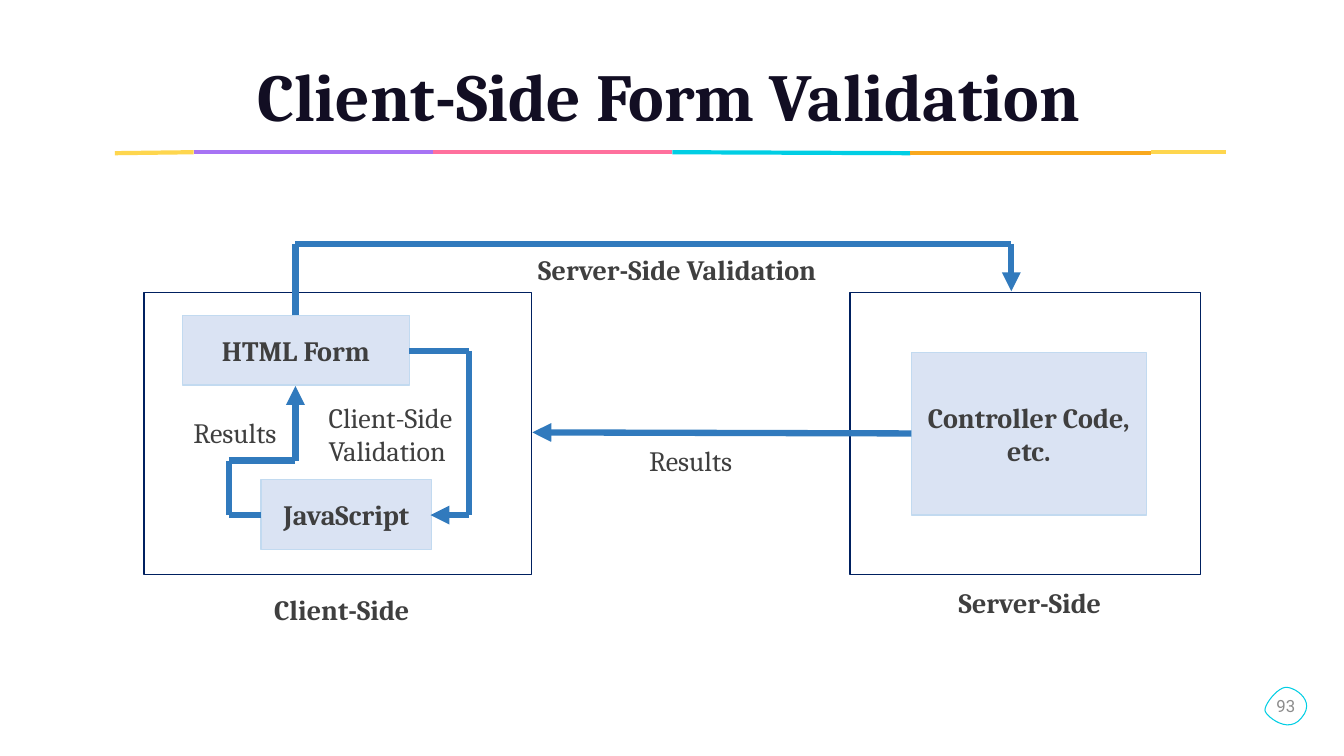
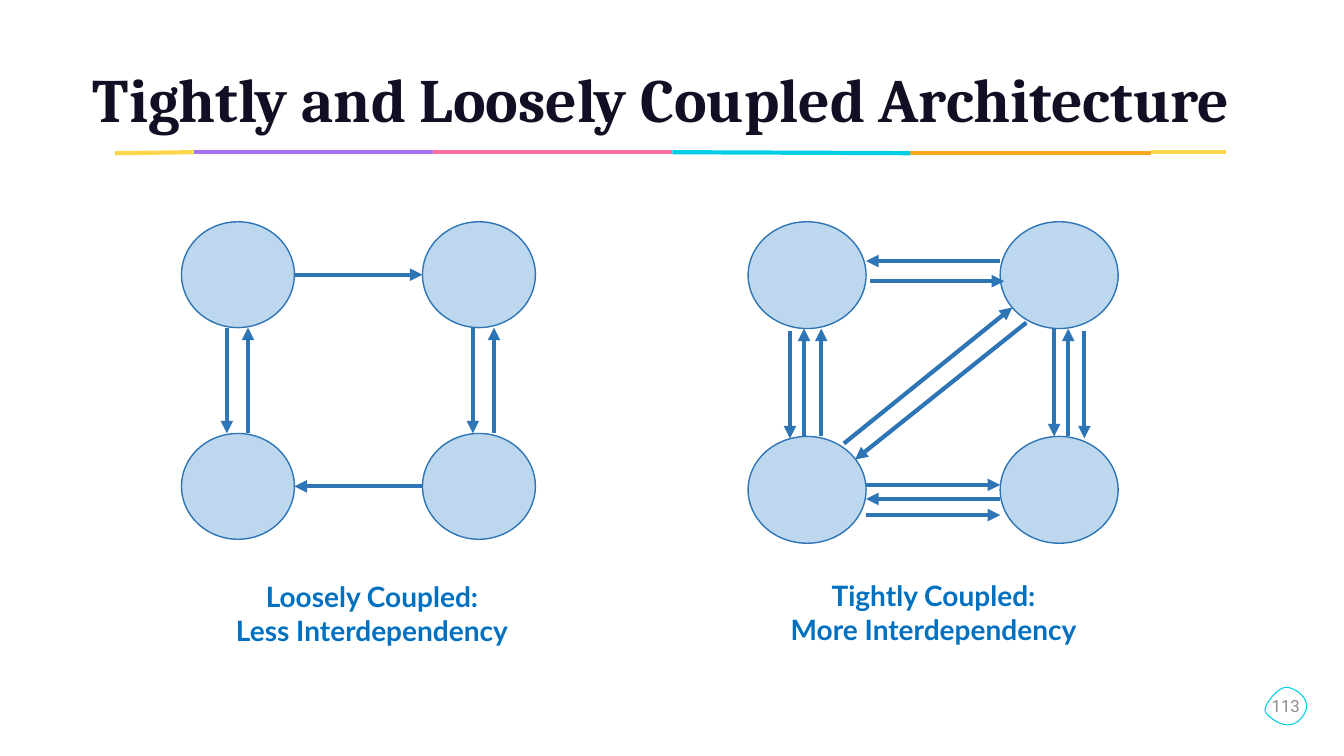
"""Build two slides on form validation and coupled architecture."""
from pptx import Presentation
from pptx.dml.color import RGBColor
from pptx.enum.shapes import MSO_CONNECTOR, MSO_SHAPE
from pptx.enum.text import MSO_ANCHOR, PP_ALIGN
from pptx.oxml.ns import qn
from pptx.util import Inches, Pt
from lxml import etree

LINE = MSO_CONNECTOR.STRAIGHT
RECT, OVAL = MSO_SHAPE.RECTANGLE, MSO_SHAPE.OVAL
LEFT, MID = PP_ALIGN.LEFT, PP_ALIGN.CENTER
TOP, CORE, BASE = MSO_ANCHOR.TOP, MSO_ANCHOR.MIDDLE, MSO_ANCHOR.BOTTOM

SERIF, SANS, PLAIN = "Cambria", "Lato", "Roboto"
INK, TEXT, GREY, AQUA = "120E23", "3F3F3F", "8C8C8C", "00CEE4"
NAVY, PALE, EDGE, FLOW = "002060", "DAE3F3", "C2DAF0", "317ABD"
SKY, BLUE, CAPTION = "BDD7EE", "2E75B6", "0070C0"

BAND = [
    ((1.14, 1.52), (1.92, 1.51), "FED64E"),
    ((1.92, 1.51), (4.29, 1.51), "A773F4"),
    ((4.29, 1.51), (6.67, 1.51), "FF709D"),
    ((6.67, 1.51), (9.03, 1.52), AQUA),
    ((9.03, 1.52), (11.42, 1.52), "F9A81D"),
    ((11.42, 1.51), (12.16, 1.51), "FED64E"),
]
BADGE = [
    ((12.77, 6.82), (12.86, 6.83), (13.05, 6.96), (12.91, 7.12)),
    ((12.91, 7.12), (12.78, 7.29), (12.57, 7.11), (12.55, 7.06)),
    ((12.55, 7.06), (12.52, 7.01), (12.68, 6.8), (12.77, 6.82)),
]

FRAMES = [(1.43, 2.9, 3.84, 2.8), (8.43, 2.9, 3.48, 2.8)]
BOXES = [
    ("HTML Form", (1.81, 3.13, 2.25, 0.69)),
    ("JavaScript", (2.59, 4.76, 1.69, 0.69)),
    ("Controller Code, etc.", (9.04, 3.5, 2.33, 1.61)),
]
ROUTES = [
    [(9.04, 4.3), (5.28, 4.29)],
    [(2.93, 3.13), (2.93, 2.42), (10.03, 2.42), (10.03, 2.89)],
    [(2.59, 5.11), (2.27, 5.11), (2.27, 4.57), (2.93, 4.57), (2.93, 3.83)],
    [(4.06, 3.48), (4.65, 3.48), (4.65, 5.11), (4.27, 5.11)],
]
LABELS = [
    ("Results", (6.34, 4.35, 1.07, 0.44), False, False),
    ("Client-Side", (2.62, 5.83, 1.6, 0.44), True, False),
    ("Server-Side", (9.41, 5.76, 1.69, 0.44), True, False),
    ("Server-Side Validation", (5.24, 2.46, 3.07, 0.44), True, False),
    ("Results", (1.82, 4.07, 1.07, 0.44), False, False),
    ("Client-Side Validation", (3.16, 3.92, 1.49, 0.77), False, True),
]

NETS = [
    {
        "start": (1.8, 2.2), "size": (1.12, 1.05), "step": (2.39, 2.1),
        "rows": [(0, 0, 1, 0), (1, 0, -1, 0)],
        "cols": [(0, -0.11, 1, 0), (0, 0.1, -1, 0),
                 (1, -0.06, 1, 0), (1, 0.15, -1, 0)],
        "cross": [],
        "text": ["Loosely Coupled:", "Less Interdependency"],
        "area": (1.52, 5.7, 4.34, 0.8),
    },
    {
        "start": (7.42, 2.2), "size": (1.17, 1.06), "step": (2.5, 2.13),
        "rows": [(0, -0.14, -1, 0), (0, 0.06, 1, 0.04), (1, -0.05, 1, 0),
                 (1, 0.09, -1, 0), (1, 0.25, 1, 0)],
        "cols": [(0, -0.17, 1, 0.02), (0, -0.03, -1, 0), (0, 0.14, -1, 0),
                 (1, -0.05, 1, 0), (1, 0.09, -1, 0), (1, 0.25, 1, 0.02)],
        "cross": [((8.37, 4.4), (10.04, 3.05)), ((10.18, 3.2), (8.48, 4.56))],
        "text": ["Tightly Coupled:", "More Interdependency"],
        "area": (6.98, 5.69, 4.56, 0.81),
    },
]


def rgb(code):
    return RGBColor.from_string(code)


def write(shape, lines, size, face, ink, bold=False, align=MID, anchor=CORE, wrap=True):
    frame = shape.text_frame
    frame.word_wrap = wrap
    frame.vertical_anchor = anchor
    frame.text = "\n".join(lines)
    for para in frame.paragraphs:
        para.alignment = align
        font = para.font
        font.size, font.name, font.bold = Pt(size), face, bold
        font.color.rgb = rgb(ink)
    return frame


def label(slide, area, lines, *style, **more):
    box = slide.shapes.add_textbox(*map(Inches, area))
    return write(box, lines, *style, **more)


def trim(frame, base=0):
    frame.margin_left = frame.margin_right = frame.margin_top = 0
    frame.margin_bottom = Inches(base)


def paint(shape, fill, edge, width):
    shape.shadow.inherit = False
    if fill:
        shape.fill.solid()
        shape.fill.fore_color.rgb = rgb(fill)
    else:
        shape.fill.background()
    shape.line.color.rgb = rgb(edge)
    shape.line.width = Pt(width)


def draw(slide, kind, area, fill, edge):
    shape = slide.shapes.add_shape(kind, *map(Inches, area))
    paint(shape, fill, edge, 1)
    return shape


def link(slide, start, end, ink, width, arrow=False):
    line = slide.shapes.add_connector(LINE, *map(Inches, (*start, *end)))
    line.line.color.rgb = rgb(ink)
    line.line.width = Pt(width)
    props = line._element.spPr
    etree.SubElement(props, qn("a:effectLst"))
    if arrow:
        etree.SubElement(props.find(qn("a:ln")), qn("a:tailEnd"), type="triangle")


def curve(a, b, c, d, steps=12):
    for i in range(1, steps + 1):
        t = i / steps
        s = 1 - t
        yield tuple(
            Inches(s**3 * p + 3 * s * s * t * q + 3 * s * t * t * r + t**3 * u)
            for p, q, r, u in zip(a, b, c, d)
        )


def page(deck, title, size, number):
    slide = deck.slides.add_slide(deck.slide_layouts[6])
    for start, end, ink in BAND:
        link(slide, start, end, ink, 3)
    head = label(slide, (0.71, 0.5, 11.84, 0.89), [title], size, SERIF, INK,
                 bold=True, anchor=BASE)
    trim(head, 0.05)
    head.paragraphs[0].line_spacing = 1.7
    path = slide.shapes.build_freeform(*map(Inches, BADGE[0][0]), scale=1.0)
    path.add_line_segments([dot for arc in BADGE for dot in curve(*arc)])
    badge = path.convert_to_shape()
    paint(badge, None, AQUA, 0.75)
    trim(write(badge, [number], 12, PLAIN, GREY, wrap=False))
    return slide


def forms(slide):
    for area in FRAMES:
        draw(slide, RECT, area, None, NAVY)
    for text, area in BOXES:
        write(draw(slide, RECT, area, PALE, EDGE), [text], 20, SERIF, TEXT, bold=True)
    for route in ROUTES:
        for start, end in zip(route, route[1:]):
            link(slide, start, end, FLOW, 4.5, arrow=end == route[-1])
    for text, area, bold, wrap in LABELS:
        label(slide, area, [text], 20, SERIF, TEXT, bold=bold, align=LEFT,
              anchor=TOP, wrap=wrap)


def spans(net, axis):
    start, size, step = net["start"], net["size"], net["step"]
    side = 1 - axis
    for lane, off, way, shift in net["cols" if axis else "rows"]:
        level = start[side] + size[side] / 2 + lane * step[side] + off
        near = start[axis] + size[axis] + shift
        far = start[axis] + step[axis] + shift
        ends = [(level, v) if axis else (v, level) for v in (near, far)]
        yield ends[::way]


def mesh(slide, net):
    (x, y), (dx, dy) = net["start"], net["step"]
    for row in range(2):
        for col in range(2):
            draw(slide, OVAL, (x + col * dx, y + row * dy, *net["size"]), SKY, BLUE)
    for start, end in [*spans(net, 0), *spans(net, 1), *net["cross"]]:
        link(slide, start, end, BLUE, 3, arrow=True)
    label(slide, net["area"], net["text"], 20, SANS, CAPTION, bold=True, anchor=TOP)


def main():
    deck = Presentation()
    deck.slide_width, deck.slide_height = Inches(13.33), Inches(7.5)
    forms(page(deck, "Client-Side Form Validation", 48, "93"))
    slide = page(deck, "Tightly and Loosely Coupled Architecture ", 44, "113")
    for net in NETS:
        mesh(slide, net)
    deck.save("out.pptx")


if __name__ == "__main__":
    main()
